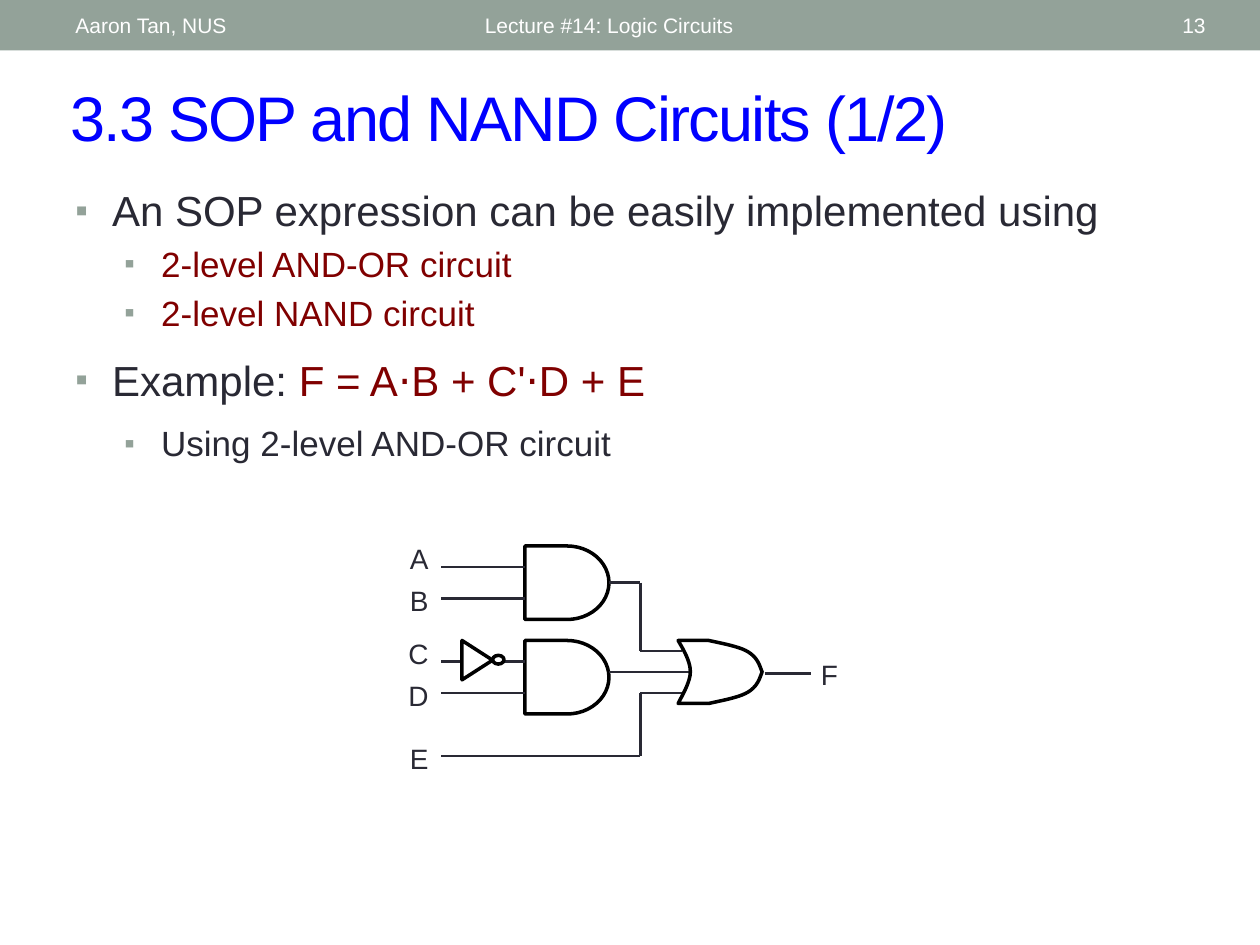
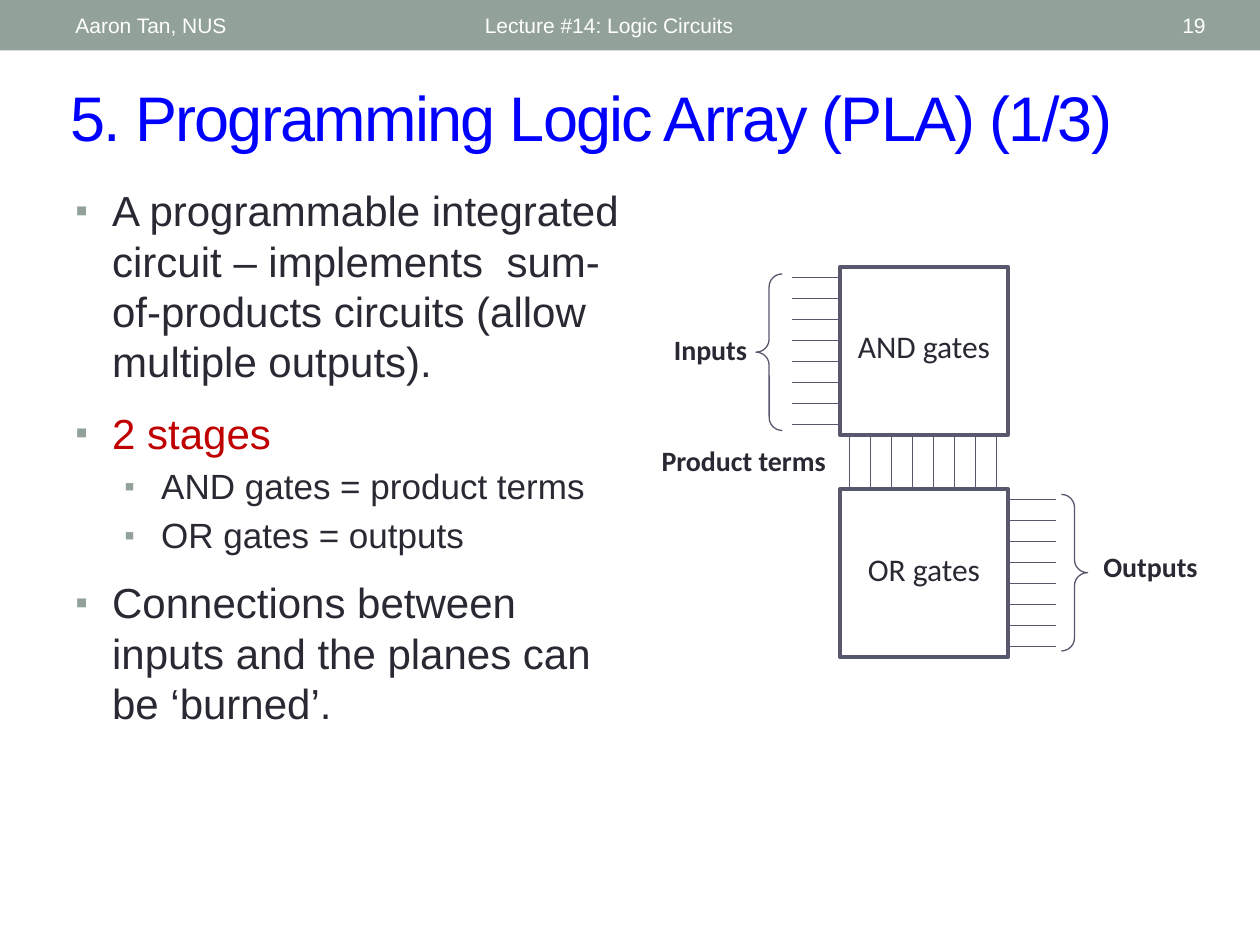
"""Build two lecture slides on logic circuits: a two-level SOP circuit and a PLA block diagram."""
import dataclasses

import pptx
import pptx.dml.color
import pptx.enum.shapes
import pptx.enum.text
import pptx.oxml
import pptx.oxml.ns
import pptx.util

Pt = pptx.util.Pt
SHAPE = pptx.enum.shapes.MSO_SHAPE
ALIGN = pptx.enum.text.PP_ALIGN
ANCHOR = pptx.enum.text.MSO_ANCHOR


@dataclasses.dataclass(frozen=True)
class Theme:
    """Colours, fonts and sizes shared by the slides."""
    band: str = "93A299"
    title: str = "0000FF"
    ink: str = "292934"
    white: str = "FFFFFF"
    maroon: str = "800000"
    red: str = "C00000"
    gate: str = "000000"
    block: str = "57576E"
    font: str = "Arial"
    diagram_font: str = "Calibri"
    title_size: int = 36
    body_sizes: tuple = (24, 20)
    body_margins: tuple = (21, 49)
    block_size: int = 18
    label_size: int = 16
    header_size: int = 12


THEME = Theme()

LECTURER = "Aaron Tan, NUS"
LECTURE = "Lecture #14: Logic Circuits"

# Each bullet: level, space before as a share of the type size, runs of (text, colour).
SOP = {
    "title": "3.3 SOP and NAND Circuits (1/2)",
    "number": "13",
    "body": (36, 102, 648, 189),
    "bullets": [
        (0, 0.2, [("An SOP expression can be easily implemented using", THEME.ink)]),
        (1, 0.2, [("2-level AND-OR circuit", THEME.maroon)]),
        (1, 0.2, [("2-level NAND circuit", THEME.maroon)]),
        (0, 0.5, [("Example:", THEME.ink), (" F = A⋅B + C'⋅D + E", THEME.maroon)]),
        (1, 0.5, [("Using 2-level AND-OR circuit", THEME.ink)]),
    ],
}
PLA = {
    "title": "5. Programming Logic Array (PLA) (1/3)",
    "number": "19",
    "body": (36, 102, 336, 381),
    "bullets": [
        (0, 0.2, [("A programmable integrated circuit – implements  sum-of-products "
                   "circuits (allow multiple outputs).", THEME.ink)]),
        (0, 0.5, [("2 stages", THEME.red)]),
        (1, 0.2, [("AND gates = product terms", THEME.ink)]),
        (1, 0.2, [("OR gates = outputs", THEME.ink)]),
        (0, 0.5, [("Connections between inputs and the planes can be ‘burned’.", THEME.ink)]),
    ],
}

INPUT_TOPS = {"A": 306, "B": 330, "C": 360, "D": 384, "E": 420}
INPUT_X, GATE_X, JOIN_X, OR_X = 252, 300, 366, 387.5
WIRES = [
    (INPUT_X, 324, GATE_X, 324),
    (INPUT_X, 342, GATE_X, 342),
    (INPUT_X, 378, GATE_X, 378),
    (INPUT_X, 396, GATE_X, 396),
    (INPUT_X, 432, JOIN_X, 432),
    (JOIN_X, 333, JOIN_X, 372),
    (JOIN_X, 372, 390, 372),
    (348, 384, 394.5, 384),
    (JOIN_X, 396, JOIN_X, 432),
    (JOIN_X, 396, 390, 396),
    (437, 385, 463.5, 385),
]
OR_CURVES = [
    [(405, 366), (414, 368), (422.5, 369.5), (427.5, 372.5)],
    [(427.5, 372.5), (433, 376), (434, 380), (435.5, 384)],
    [(435.5, 384), (434, 388), (433, 392), (427.5, 395.5)],
    [(427.5, 395.5), (422.5, 398.5), (414, 400), (405, 402)],
    [(OR_X, 402), (389, 399), (394.5, 390), (394.5, 384)],
    [(394.5, 384), (394.5, 378), (391, 372), (OR_X, 366)],
]

BLOCK_X, BLOCK_SIDE = 480, 96
BLOCKS = [("AND gates", 152.5), ("OR gates", 279.5)]
LINE_COUNT, LINE_PITCH, LINE_LENGTH = 8, 12, 27.5
PLA_LABELS = [
    ("Inputs", (374, 186.5, 64, 26.6)),
    ("Outputs", (618.5, 310.5, 78, 26.6)),
    ("Product terms", (364, 250, 122, 26.6)),
]
BRACES = [(SHAPE.LEFT_BRACE, (432, 156.5, 15, 89.5)), (SHAPE.RIGHT_BRACE, (606.5, 282.5, 15, 89.5))]


def rgb(colour):
    return pptx.dml.color.RGBColor.from_string(colour)


def points(box):
    return [Pt(length) for length in box]


def style(run, size, colour, font=THEME.font, bold=False):
    run.font.size, run.font.name, run.font.bold = Pt(size), font, bold
    run.font.color.rgb = rgb(colour)


def paint(shape, fill=None, line=None, width=1):
    shape.shadow.inherit = False
    if fill:
        shape.fill.solid()
        shape.fill.fore_color.rgb = rgb(fill)
    else:
        shape.fill.background()
    if line:
        shape.line.color.rgb, shape.line.width = rgb(line), Pt(width)
    else:
        shape.line.fill.background()


def add_shape(slide, kind, box, **paints):
    shape = slide.shapes.add_shape(kind, *points(box))
    paint(shape, **paints)
    return shape


def add_label(slide, text, box, size, colour=THEME.ink, align=ALIGN.LEFT,
              anchor=ANCHOR.TOP, **font):
    frame = slide.shapes.add_textbox(*points(box)).text_frame
    frame.word_wrap, frame.vertical_anchor = True, anchor
    frame.text = text
    frame.paragraphs[0].alignment = align
    style(frame.paragraphs[0].runs[0], size, colour, **font)


def add_line(slide, ends, colour, width):
    line = slide.shapes.add_connector(pptx.enum.shapes.MSO_CONNECTOR.STRAIGHT, *points(ends))
    line.line.color.rgb, line.line.width = rgb(colour), Pt(width)
    line._element.spPr.append(pptx.oxml.parse_xml(
        f'<a:effectLst {pptx.oxml.ns.nsdecls("a")}/>'))
    return line


def add_bullet(paragraph, level, share, runs):
    size = THEME.body_sizes[level]
    paragraph.level, paragraph.space_before = level, Pt(size * share)
    properties = paragraph._p.get_or_add_pPr()
    properties.set("marL", str(Pt(THEME.body_margins[level])))
    properties.set("indent", str(-Pt(THEME.body_margins[0])))
    for mark in (f'<a:buClr {{}}><a:srgbClr val="{THEME.band}"/></a:buClr>',
                 '<a:buSzPct {} val="85000"/>',
                 f'<a:buFont {{}} typeface="{THEME.font}"/>',
                 '<a:buChar {} char="▪"/>'):
        properties.append(pptx.oxml.parse_xml(mark.format(pptx.oxml.ns.nsdecls("a"))))
    for text, colour in runs:
        run = paragraph.add_run()
        run.text = text
        style(run, size, colour)


def add_slide(deck, content):
    slide = deck.slides.add_slide(deck.slide_layouts[5])
    add_shape(slide, SHAPE.RECTANGLE, (0, 0, 720, 28.8), fill=THEME.band)
    for text, left, width, align in ((LECTURER, 36, 228, ALIGN.LEFT),
                                     (LECTURE, 270, 324, ALIGN.LEFT),
                                     (content["number"], 628, 68, ALIGN.RIGHT)):
        add_label(slide, text, (left, 1.5, width, 26), THEME.header_size, THEME.white,
                  align, ANCHOR.MIDDLE)

    title = slide.shapes.title
    title.left, title.top, title.width, title.height = points((33, 41, 653, 50.5))
    title.text_frame.text = content["title"]
    title.text_frame.vertical_anchor = ANCHOR.MIDDLE
    heading = title.text_frame.paragraphs[0]
    heading.alignment = ALIGN.LEFT
    style(heading.runs[0], THEME.title_size, THEME.title)
    heading.runs[0]._r.get_or_add_rPr().set("spc", "-100")

    body = slide.shapes.add_textbox(*points(content["body"])).text_frame
    body.word_wrap = True
    for index, bullet in enumerate(content["bullets"]):
        add_bullet(body.add_paragraph() if index else body.paragraphs[0], *bullet)
    return slide


def bezier(curve, steps=10):
    """Return points along a cubic curve, leaving out its start."""
    for step in range(1, steps + 1):
        t = step / steps
        weights = ((1 - t) ** 3, 3 * t * (1 - t) ** 2, 3 * t * t * (1 - t), t ** 3)
        yield tuple(Pt(sum(w * p[axis] for w, p in zip(weights, curve))) for axis in (0, 1))


def draw_and_or_circuit(slide):
    for name, top in INPUT_TOPS.items():
        add_label(slide, name, (222, top, 30, 26.6), THEME.label_size, align=ALIGN.RIGHT)
    add_label(slide, "F", (462, 372, 35, 26.6), THEME.label_size)

    outline = {"line": THEME.gate, "width": 2}
    upper_and, _ = [add_shape(slide, SHAPE.FLOWCHART_DELAY, (GATE_X, top, 48, 42), **outline)
                    for top in (312, 366)]
    for ends in WIRES:
        add_line(slide, ends, THEME.ink, 1.5)
    add_line(slide, (348, 333, JOIN_X, 333), THEME.ink, 1.5).begin_connect(upper_and, 3)

    or_gate = slide.shapes.build_freeform(Pt(OR_X), Pt(366), scale=1.0)
    for curve in OR_CURVES:
        or_gate.add_line_segments([points(curve[0]), *bezier(curve)], close=False)
    paint(or_gate.convert_to_shape(), **outline)

    inverter = add_shape(slide, SHAPE.FLOWCHART_MERGE, (261.5, 368.5, 22.5, 17.5),
                         fill=THEME.white, **outline)
    inverter.rotation = 270
    add_shape(slide, SHAPE.OVAL, (281.5, 374.5, 6.5, 5), fill=THEME.white, **outline)


def draw_pla(slide):
    for name, top in BLOCKS:
        add_shape(slide, SHAPE.RECTANGLE, (BLOCK_X, top, BLOCK_SIDE, BLOCK_SIDE),
                  fill=THEME.white, line=THEME.block, width=2.08)
        add_label(slide, name, (BLOCK_X - 3, top + 31, BLOCK_SIDE + 6, 29), THEME.block_size,
                  align=ALIGN.CENTER, font=THEME.diagram_font)

    (_, and_top), (_, or_top) = BLOCKS
    right = BLOCK_X + BLOCK_SIDE
    for index in range(LINE_COUNT):
        offset = 6 + index * LINE_PITCH
        x = BLOCK_X + offset - 0.5
        for ends in ((BLOCK_X - LINE_LENGTH, and_top + offset, BLOCK_X, and_top + offset),
                     (x, or_top, x, and_top + BLOCK_SIDE),
                     (right, or_top + offset, right + LINE_LENGTH, or_top + offset)):
            add_line(slide, ends, THEME.block, 0.75)

    for kind, box in BRACES:
        brace = add_shape(slide, kind, box, line=THEME.block, width=0.75)
        brace.adjustments[0] = 0.494
    for name, box in PLA_LABELS:
        add_label(slide, name, box, THEME.label_size, align=ALIGN.CENTER,
                  font=THEME.diagram_font, bold=True)


def main():
    deck = pptx.Presentation()
    deck.slide_width, deck.slide_height = Pt(720), Pt(540)
    draw_and_or_circuit(add_slide(deck, SOP))
    draw_pla(add_slide(deck, PLA))
    deck.save("out.pptx")


if __name__ == "__main__":
    main()
